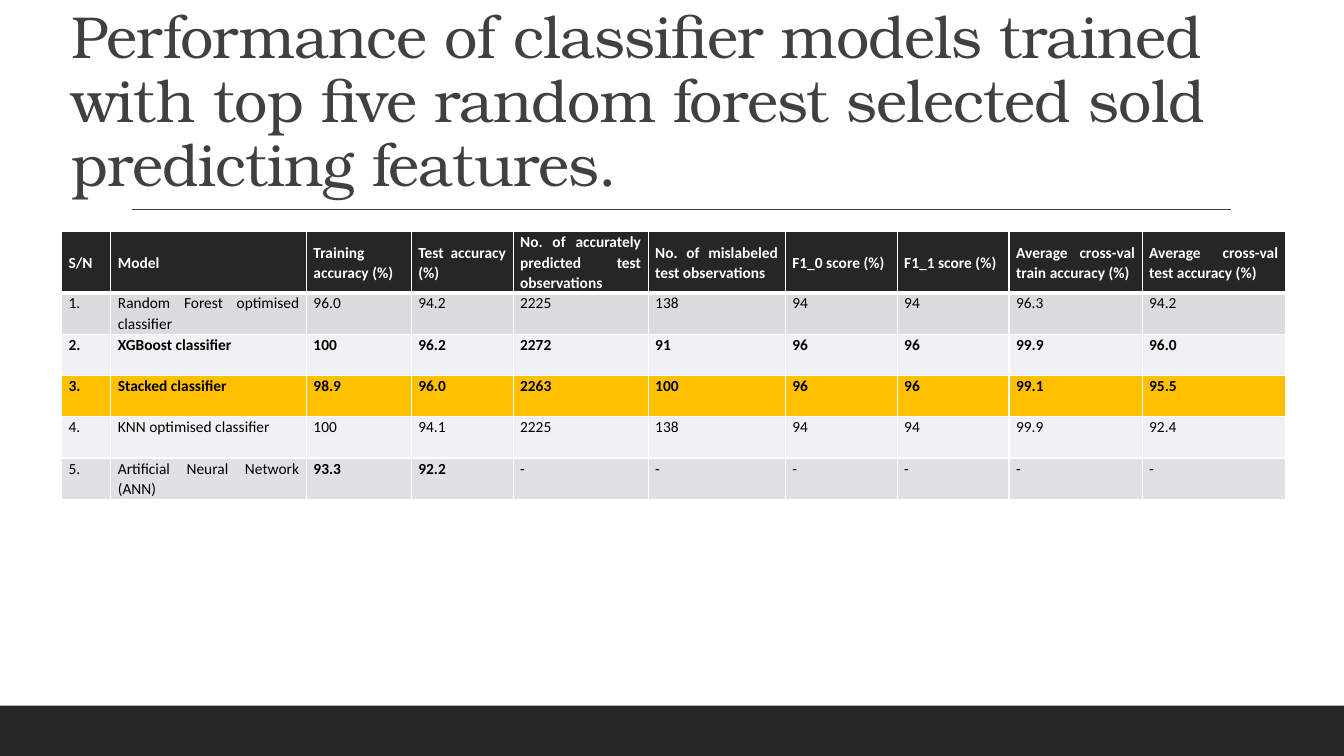
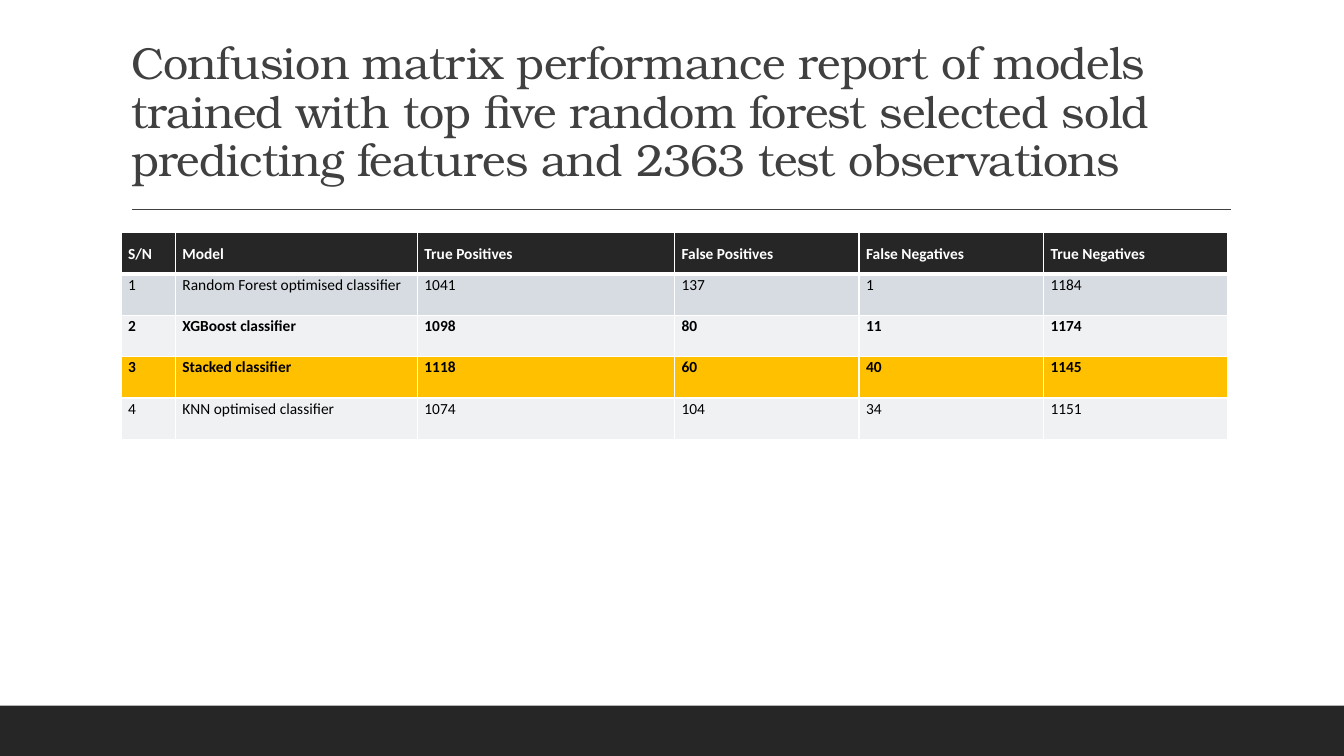
from dataclasses import dataclass

from lxml import etree
from pptx import Presentation
from pptx.dml.color import RGBColor
from pptx.enum.shapes import MSO_CONNECTOR, MSO_SHAPE
from pptx.enum.text import MSO_ANCHOR, MSO_AUTO_SIZE, PP_ALIGN
from pptx.oxml.ns import qn
from pptx.util import Inches, Pt

RECT = MSO_SHAPE.RECTANGLE
STRAIGHT = MSO_CONNECTOR.STRAIGHT
TOP, MIDDLE, BOTTOM = MSO_ANCHOR.TOP, MSO_ANCHOR.MIDDLE, MSO_ANCHOR.BOTTOM
LEFT, JUSTIFY = PP_ALIGN.LEFT, PP_ALIGN.JUSTIFY
NO_FIT = MSO_AUTO_SIZE.NONE
TITLE_ONLY = 5


@dataclass(frozen=True)
class Theme:
    dark: str = "262626"
    ink: str = "404040"
    black: str = "000000"
    white: str = "FFFFFF"
    ash: str = "D9DDDF"
    steel: str = "D7DCE2"
    mist: str = "DEE1E6"
    pale: str = "EFF1F3"
    gold: str = "FFC000"
    serif: str = "TeX Gyre Bonum"
    sans: str = "Calibri"
    large: float = 42.3
    medium: float = 32
    small: float = 11
    thin: float = 1
    thick: float = 3


THEME = Theme()


def rgb(code):
    return RGBColor.from_string(code)


def write(frame, text, font, size, color, bold=False, align=LEFT,
          leading=1.0, track=0):
    """Set the frame's only paragraph; track is letter spacing in points."""
    para = frame.paragraphs[0]
    para.alignment = align
    para.line_spacing = leading
    run = para.add_run()
    run.text = text
    run.font.name = font
    run.font.size = Pt(size)
    run.font.bold = bold
    run.font.color.rgb = rgb(color)
    if track:
        run.font._element.set("spc", str(round(track * 100)))


def edge(cell, side, width, color):
    """Add one cell border; call before the cell is filled."""
    line = etree.SubElement(cell._tc.get_or_add_tcPr(), qn(f"a:ln{side}"),
                            w=str(Pt(width)))
    fill = etree.SubElement(line, qn("a:solidFill"))
    etree.SubElement(fill, qn("a:srgbClr"), val=color)


class Deck:
    def __init__(self, theme):
        self.theme = theme
        self.file = Presentation()
        self.file.slide_width = Inches(13.33)
        self.file.slide_height = Inches(7.5)
        self.slide = None

    def start(self):
        """Add a slide with the shared band and rule."""
        layout = self.file.slide_layouts[TITLE_ONLY]
        self.slide = self.file.slides.add_slide(layout)
        self.band(0, 7, 13.33, 0.5)
        self.rule(1.31, 12.21, 2.08)

    def band(self, left, top, width, height):
        shape = self.slide.shapes.add_shape(
            RECT, Inches(left), Inches(top), Inches(width), Inches(height))
        shape.shadow.inherit = False
        shape.fill.solid()
        shape.fill.fore_color.rgb = rgb(self.theme.dark)
        shape.line.fill.background()

    def rule(self, left, right, top):
        line = self.slide.shapes.add_connector(
            STRAIGHT, Inches(left), Inches(top), Inches(right), Inches(top))
        line.line.color.rgb = rgb(self.theme.ink)
        line.line.width = Pt(self.theme.thin)
        etree.SubElement(line._element.spPr, qn("a:effectLst"))

    def title(self, text, left, top, width, height, size):
        shape = self.slide.shapes.title
        shape.left, shape.top = Inches(left), Inches(top)
        shape.width, shape.height = Inches(width), Inches(height)
        frame = shape.text_frame
        frame.word_wrap = True
        frame.auto_size = NO_FIT
        frame.vertical_anchor = BOTTOM
        write(frame, text, self.theme.serif, size, self.theme.ink,
              leading=0.9, track=-0.5)

    def table(self, left, top, widths, heads, rows, height=0.41):
        """Each row is (fill, bold columns, values)."""
        every = range(len(heads))
        lines = [(self.theme.dark, every, heads), *rows]
        table = self.slide.shapes.add_table(
            len(lines), len(heads), Inches(left), Inches(top),
            Inches(sum(widths)), Inches(height * len(lines))).table
        table.horz_banding = False
        for column, width in zip(table.columns, widths):
            column.width = Inches(width)
        for i, (fill, bold, values) in enumerate(lines):
            table.rows[i].height = Inches(height)
            for j, value in enumerate(values):
                self.cell(table.cell(i, j), value, fill, j in bold, i)

    def cell(self, cell, text, fill, bold, row):
        theme = self.theme
        head = row == 0
        cell.margin_left = cell.margin_right = Inches(0.07)
        cell.margin_top = cell.margin_bottom = 0
        cell.vertical_anchor = MIDDLE if head else TOP
        write(cell.text_frame, text, theme.sans, theme.small,
              theme.white if head else theme.black, bold, JUSTIFY, 1.07)
        thick = {"B"} if head else {"T"} if row == 1 else set()
        for side in "LRTB":
            edge(cell, side, theme.thick if side in thick else theme.thin,
                 theme.white)
        cell.fill.solid()
        cell.fill.fore_color.rgb = rgb(fill)


def scores(deck):
    theme = deck.theme
    deck.start()
    deck.title("Performance of classifier models trained with top five random "
               "forest selected sold predicting features.",
               0.61, 0.13, 12.14, 1.9, theme.large)
    heads = ["S/N", "Model", "Training accuracy (%)", "Test accuracy (%)",
             "No. of accurately predicted test observations",
             "No. of mislabeled test observations",
             "F1_0 score (%)", "F1_1 score (%)",
             "Average cross-val train accuracy (%)",
             "Average cross-val test accuracy (%)"]
    every = range(len(heads))
    rows = [
        (theme.ash, (), ["1.", "Random Forest optimised classifier", "96.0",
                         "94.2", "2225", "138", "94", "94", "96.3", "94.2"]),
        (theme.pale, every, ["2.", "XGBoost classifier", "100", "96.2",
                             "2272", "91", "96", "96", "99.9", "96.0"]),
        (theme.gold, every, ["3.", "Stacked classifier", "98.9", "96.0",
                             "2263", "100", "96", "96", "99.1", "95.5"]),
        (theme.pale, (), ["4.", "KNN optimised classifier", "100", "94.1",
                          "2225", "138", "94", "94", "99.9", "92.4"]),
        (theme.mist, (2, 3), ["5.", "Artificial Neural Network (ANN)",
                              "93.3", "92.2"] + ["-"] * 6),
    ]
    widths = [0.49, 1.94, 1.04, 1.01, 1.34, 1.36, 1.11, 1.11, 1.32, 1.42]
    deck.table(0.61, 2.3, widths, heads, rows)


def matrix(deck):
    theme = deck.theme
    deck.start()
    deck.title("Confusion matrix performance report of models trained with "
               "top five random forest selected sold predicting features "
               "and 2363 test observations",
               1.2, 0.31, 11, 1.59, theme.medium)
    heads = ["S/N", "Model", "True Positives", "False Positives",
             "False Negatives", "True Negatives"]
    every = range(len(heads))
    rows = [
        (theme.steel, (), ["1", "Random Forest optimised classifier",
                           "1041", "137", "1", "1184"]),
        (theme.pale, every, ["2", "XGBoost classifier",
                             "1098", "80", "11", "1174"]),
        (theme.gold, every, ["3", "Stacked classifier",
                             "1118", "60", "40", "1145"]),
        (theme.pale, (), ["4", "KNN optimised classifier",
                          "1074", "104", "34", "1151"]),
    ]
    deck.table(1.2, 2.31, [0.54, 2.4, 2.55] + [1.83] * 3, heads, rows)


def main():
    deck = Deck(THEME)
    scores(deck)
    matrix(deck)
    deck.file.save("out.pptx")


if __name__ == "__main__":
    main()
